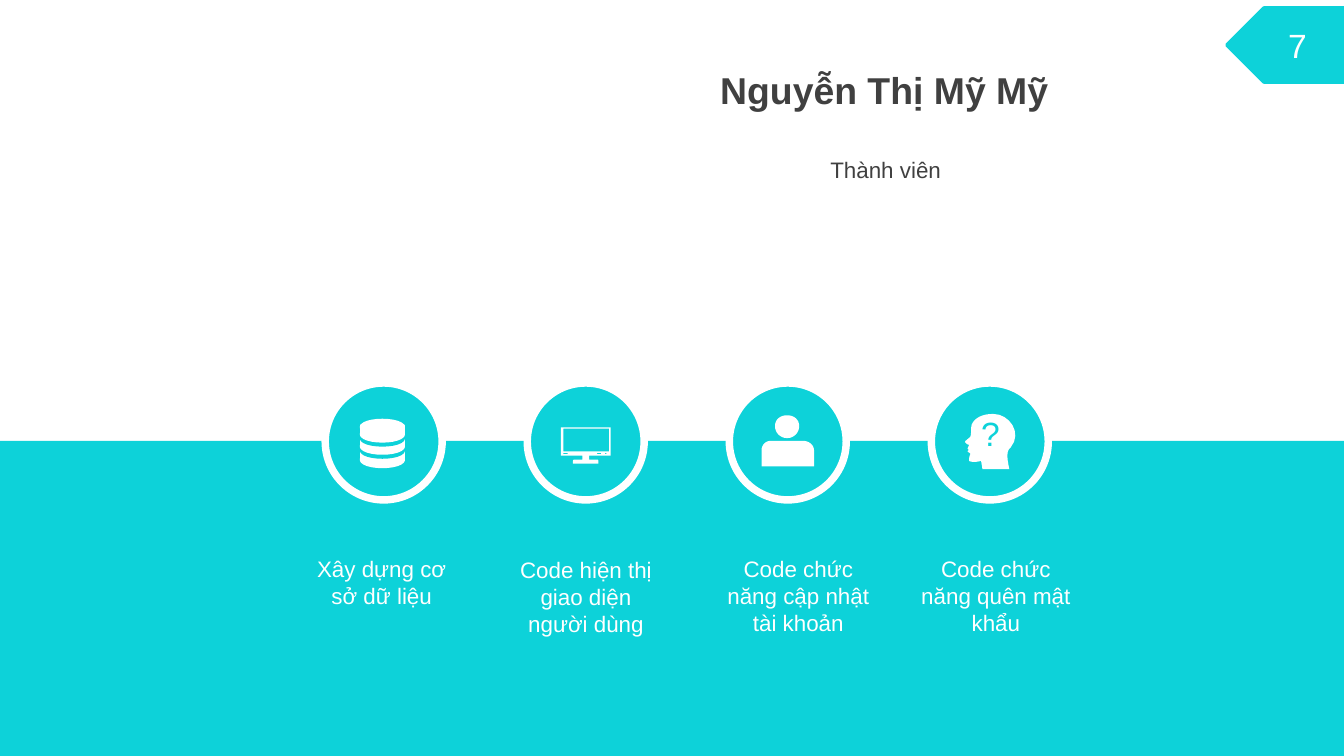
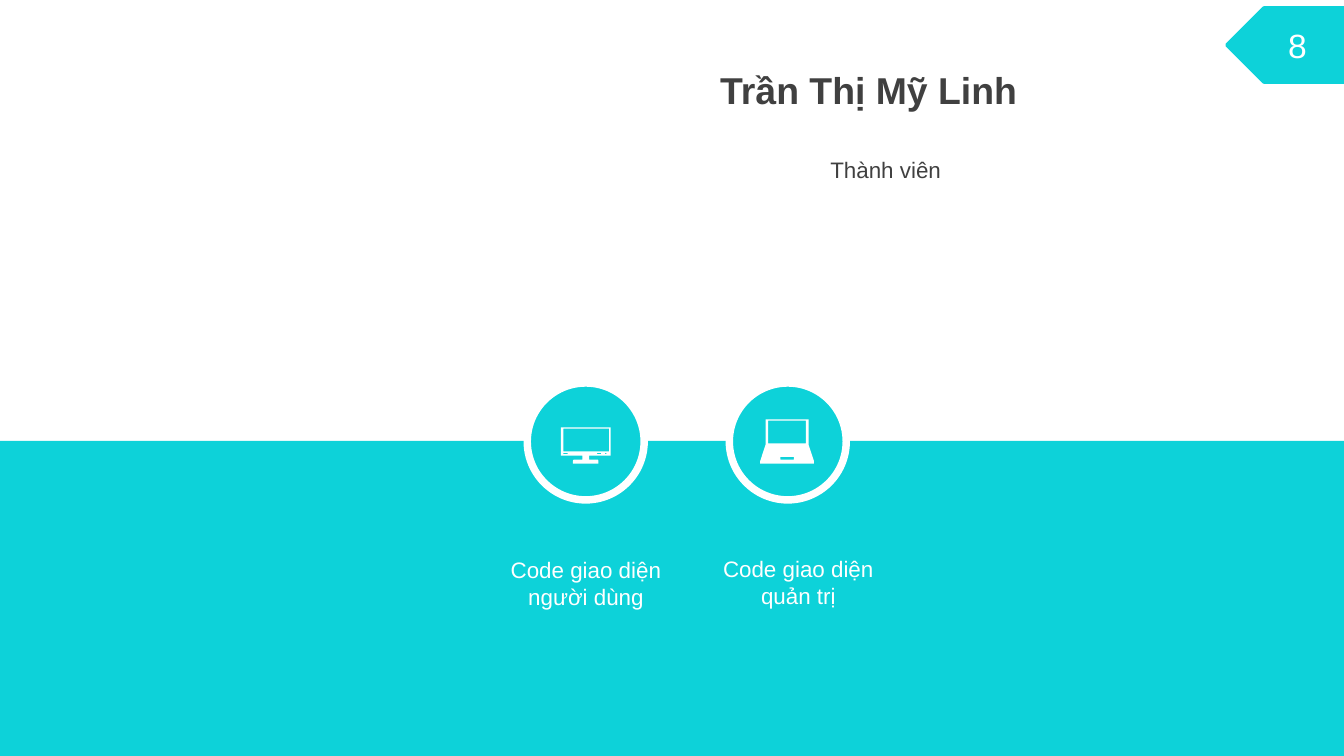
from dataclasses import dataclass

import pptx
import pptx.dml.color
import pptx.enum.shapes
import pptx.enum.text
import pptx.oxml.ns
import pptx.util

Inches = pptx.util.Inches
SHAPE = pptx.enum.shapes.MSO_SHAPE
ALIGN = pptx.enum.text.PP_ALIGN


@dataclass(frozen=True)
class Theme:
    font: str = "Arial"
    accent: str = "0DD2D9"
    white: str = "FFFFFF"
    ink: str = "404040"
    name_size: int = 20
    number_size: int = 18
    body_size: int = 12
    ring: int = 4
    outline: int = 2


THEME = Theme()
SLIDE_W = 10
SLIDE_H = SLIDE_W * 9 / 16
BAND_TOP = 3.28
CIRCLE = 0.87
FIRST_X, LAST_X, CIRCLE_Y = 2.42, 6.93, 2.85
STEP = (LAST_X - FIRST_X) / 3
LABEL_W = 1.32
LABEL_SPOTS = [(2.18, 4.08), (3.7, 4.09), (5.28, 4.08), (6.75, 4.08)]
CURVE_STEPS = 8
UNITS_PER_INCH = 100
PRECISION = 100


def box(x0, y0, x1, y1):
    return [(x0, y0), (x0, y1), (x1, y1), (x1, y0)]


PERSON = [
    [(31, 43), (55, 43), (59, 43, 63, 46, 63, 50), (63, 62), (24, 62),
     (24, 50), (24, 46, 27, 43, 31, 43)],
    [(43, 24), (48, 24, 52, 27, 52, 32), (52, 37, 48, 41, 43, 41),
     (38, 41, 34, 37, 34, 32), (34, 27, 38, 24, 43, 24)],
]
MONITOR = [
    [(25, 33), (62, 33), (62, 54), (46, 54), (46, 57), (52, 57),
     (53, 57, 53, 58, 53, 59), (53, 60), (34, 60), (34, 59),
     (34, 58, 34, 57, 35, 57), (41, 57), (41, 54), (25, 54)],
    box(27, 34, 61, 51),
    box(27, 52, 30, 53),
    box(52, 52, 55, 53),
    box(58, 52, 59, 53),
]
LAPTOP = [
    [(27, 27), (59, 27), (59, 46), (63, 58), (63, 60), (23, 60), (23, 58), (27, 46)],
    box(29, 28, 57, 45),
    box(38, 55, 48, 57),
]
HEAD = [
    [(46, 23), (38, 23, 32, 26, 30, 31), (29, 36, 30, 37, 29, 40),
     (27, 42, 25, 43, 25, 44), (26, 45, 27, 46, 28, 46), (28, 47, 27, 48, 27, 49),
     (28, 50), (28, 50, 27, 50, 27, 51), (28, 52, 29, 52, 29, 53),
     (28, 55, 28, 57, 28, 58), (30, 59, 33, 59, 37, 58), (38, 64), (58, 64),
     (56, 55, 56, 50, 59, 48), (68, 37, 58, 23, 46, 23)],
]


def rgb(color):
    return pptx.dml.color.RGBColor.from_string(color)


def paint(sp, fill, line=None, width=0):
    sp.shadow.inherit = False
    sp.fill.solid()
    sp.fill.fore_color.rgb = rgb(fill)
    if line:
        sp.line.color.rgb = rgb(line)
        sp.line.width = pptx.util.Pt(width)
    else:
        sp.line.fill.background()


def add_preset(shapes, kind, x, y, w, h, fill, line=None, width=0):
    sp = shapes.add_shape(kind, Inches(x), Inches(y), Inches(w), Inches(h))
    paint(sp, fill, line, width)
    return sp


def write(tf, text, size, color, align, bold=False):
    p = tf.paragraphs[0]
    p.alignment = align
    r = p.add_run()
    r.text = text
    r.font.name = THEME.font
    r.font.size = pptx.util.Pt(size)
    r.font.bold = bold
    r.font.color.rgb = rgb(color)


def add_text(s, x, y, w, h, text, size, color, align=ALIGN.LEFT, bold=False):
    tf = s.shapes.add_textbox(Inches(x), Inches(y), Inches(w), Inches(h)).text_frame
    tf.word_wrap = True
    tf.auto_size = pptx.enum.text.MSO_AUTO_SIZE.SHAPE_TO_FIT_TEXT
    write(tf, text, size, color, align, bold)


def flatten(contour):
    points = [contour[0]]
    for segment in contour[1:]:
        if len(segment) == 2:
            points.append(segment)
            continue
        x0, y0 = points[-1]
        x1, y1, x2, y2, x3, y3 = segment
        for i in range(1, CURVE_STEPS + 1):
            t = i / CURVE_STEPS
            u = 1 - t
            a, b, c, d = u ** 3, 3 * u * u * t, 3 * u * t * t, t ** 3
            points.append((a * x0 + b * x1 + c * x2 + d * x3,
                           a * y0 + b * y1 + c * y2 + d * y3))
    return [(px * PRECISION, py * PRECISION) for px, py in points]


def add_outline(s, x, y, contours):
    first, *rest = [flatten(contour) for contour in contours]
    scale = Inches(1) / (UNITS_PER_INCH * PRECISION)
    builder = s.shapes.build_freeform(*first[0], scale=scale)
    builder.add_line_segments(first[1:], close=True)
    for points in rest:
        builder.move_to(*points[0])
        builder.add_line_segments(points[1:], close=True)
    paint(builder.convert_to_shape(Inches(x), Inches(y)), THEME.white)


def person_icon(s, x, y):
    add_outline(s, x, y, PERSON)


def monitor_icon(s, x, y):
    add_outline(s, x, y, MONITOR)


def laptop_icon(s, x, y):
    add_outline(s, x, y, LAPTOP)


def question_icon(s, x, y):
    add_outline(s, x, y, HEAD)
    add_text(s, x + 0.26, y + 0.17, 0.36, 0.4, "?", THEME.number_size,
             THEME.accent, ALIGN.CENTER)


def database_icon(s, x, y):
    group = s.shapes.add_group_shape()

    def slab(kind, top, h, color):
        add_preset(group.shapes, kind, x + 0.27, y + top, 0.31, h,
                   color, color, THEME.outline)

    for tier, lid, lid_color in [(0.52, 0.45, THEME.accent),
                                 (0.42, 0.36, THEME.accent),
                                 (0.33, 0.28, THEME.white)]:
        slab(SHAPE.OVAL, tier, 0.1, THEME.white)
        slab(SHAPE.RECTANGLE, tier - 0.01, 0.05, THEME.white)
        slab(SHAPE.OVAL, lid, 0.1, lid_color)


def add_band(s):
    add_preset(s.shapes, SHAPE.RECTANGLE, 0, BAND_TOP, SLIDE_W,
               SLIDE_H - BAND_TOP, THEME.accent)


def add_heading(s, x, y, name, role):
    add_text(s, x + 0.82, y + 0.66, 1.27, 0.3, role, THEME.body_size, THEME.ink)
    add_text(s, x, y, 2.68, 0.44, name, THEME.name_size, THEME.ink, bold=True)


def add_task(s, slot, icon, label, lines):
    x = FIRST_X + slot * STEP
    add_preset(s.shapes, SHAPE.OVAL, x, CIRCLE_Y, CIRCLE, CIRCLE,
               THEME.accent, THEME.white, THEME.ring)
    icon(s, x, CIRCLE_Y)
    label_x, label_y = LABEL_SPOTS[slot]
    add_text(s, label_x, label_y, LABEL_W, 0.08 + 0.21 * lines, label,
             THEME.body_size, THEME.white, ALIGN.CENTER)


def add_page_badge(s, number):
    sp = add_preset(s.shapes, SHAPE.PENTAGON, 9.13, 0.06, 0.91, 0.55,
                    THEME.accent, THEME.accent, THEME.outline)
    sp.element.spPr.find(pptx.oxml.ns.qn("a:xfrm")).set("flipH", "1")
    tf = sp.text_frame
    tf.vertical_anchor = pptx.enum.text.MSO_ANCHOR.MIDDLE
    write(tf, str(number), THEME.number_size, THEME.white, ALIGN.CENTER)


def member_slide(prs, number, name, tasks):
    s = prs.slides.add_slide(prs.slide_layouts[6])
    add_band(s)
    add_heading(s, 5.26, 0.45, name, "Thành viên")
    for task in tasks:
        add_task(s, *task)
    add_page_badge(s, number)


def main():
    prs = pptx.Presentation()
    prs.slide_width, prs.slide_height = Inches(SLIDE_W), Inches(SLIDE_H)
    member_slide(prs, 7, "Nguyễn Thị Mỹ Mỹ", [
        (0, database_icon, "Xây dựng cơ sở dữ liệu", 2),
        (1, monitor_icon, "Code hiện thị giao diện người dùng", 3),
        (2, person_icon, "Code chức năng cập nhật tài khoản", 3),
        (3, question_icon, "Code chức năng quên mật khẩu", 3),
    ])
    member_slide(prs, 8, "Trần Thị Mỹ Linh", [
        (1, monitor_icon, "Code giao diện người dùng", 2),
        (2, laptop_icon, "Code giao diện quản trị", 2),
    ])
    prs.save("out.pptx")


if __name__ == "__main__":
    main()
